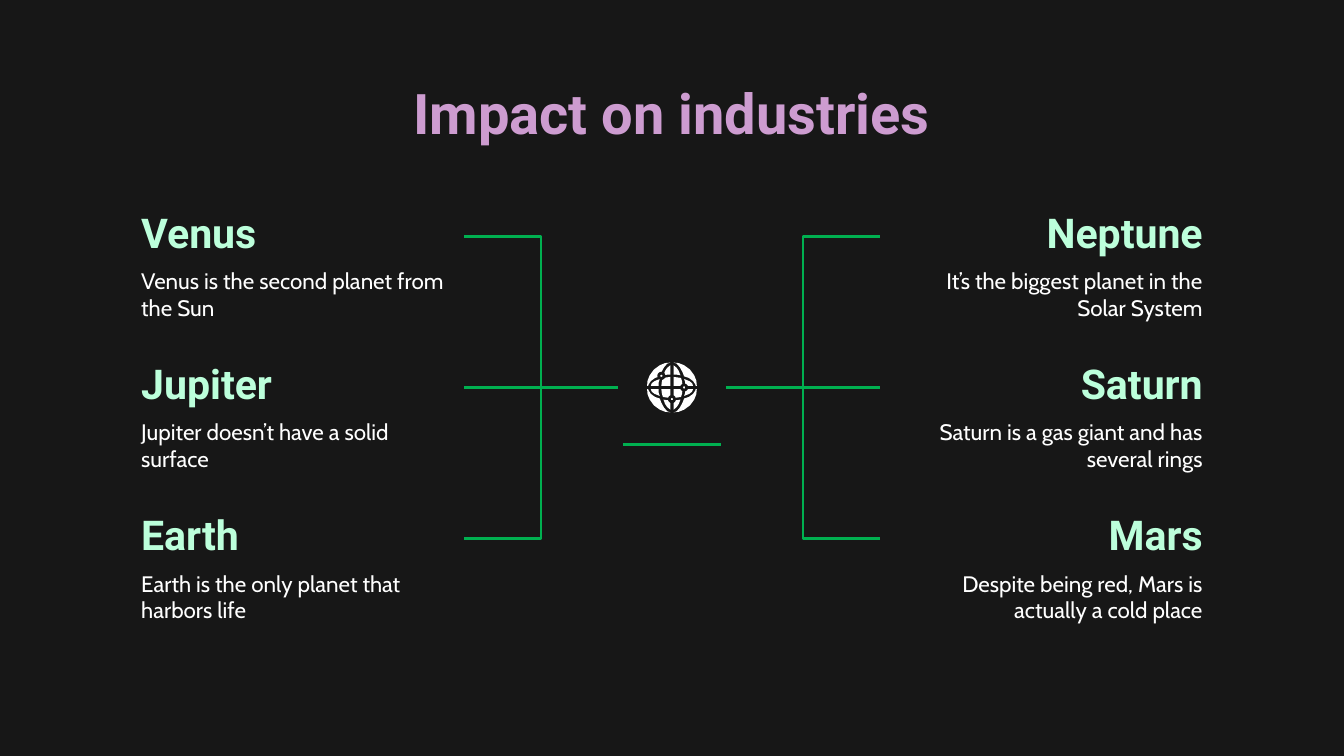
"""Build the slide on the impact on industries."""
from dataclasses import dataclass
from itertools import product
from typing import Any

from lxml.etree import SubElement
from pptx import Presentation
from pptx.dml.color import RGBColor
from pptx.enum.shapes import MSO_CONNECTOR as Link, MSO_SHAPE as Form
from pptx.enum.text import MSO_ANCHOR as Anchor, PP_ALIGN as Align
from pptx.oxml.ns import qn
from pptx.util import Cm, Pt

DARK = RGBColor(0x17, 0x17, 0x17)
WHITE = RGBColor(0xFF, 0xFF, 0xFF)
GREEN = RGBColor(0x00, 0xB0, 0x50)
MINT = RGBColor(0xBC, 0xFF, 0xDB)
PINK = RGBColor(0xCD, 0x9C, 0xD0)
SKY = RGBColor(0x9C, 0xCA, 0xED)

TITLE = {"name": "Roboto", "size": Pt(30), "bold": True}
HEAD = {"name": "Roboto", "size": Pt(22), "bold": True}
BODY = {"name": "Cabin", "size": Pt(12), "bold": False}

TOP, STEP, WIDE, TALL = 3.83, 2.86, 6.35, 1.27
MID_X, MID_Y = 12.7, TOP + STEP + TALL / 2


@dataclass(frozen=True)
class Side:
    """A column of planets and the hub point that links to it."""
    left: float
    hub: float
    site: int
    align: Any
    items: tuple[tuple[str, str], ...]


@dataclass(frozen=True)
class Tile:
    """A patch of one globe quarter, as offsets from the centre."""
    points: tuple[tuple[float, float], ...]


@dataclass(frozen=True)
class Node:
    """A dot on the globe, as an offset from the centre."""
    dx: float
    dy: float


SIDES = (
    Side(2.42, 11.68, 3, Align.LEFT, (
        ("Venus", "Venus is the second planet from the Sun"),
        ("Jupiter", "Jupiter doesn’t have a solid surface"),
        ("Earth", "Earth is the only planet that harbors life"))),
    Side(16.63, 13.72, 1, Align.RIGHT, (
        ("Neptune", "It’s the biggest planet in the Solar System"),
        ("Saturn", "Saturn is a gas giant and has several rings"),
        ("Mars", "Despite being red, Mars is actually a cold place"))),
)
TILES = (
    Tile(((0.03, 0.03), (0.2, 0.03), (0.19, 0.12), (0.17, 0.18),
          (0.1, 0.19), (0.03, 0.2))),
    Tile(((0.25, 0.03), (0.4, 0.03), (0.38, 0.08), (0.33, 0.12),
          (0.23, 0.16), (0.25, 0.1))),
    Tile(((0.03, 0.24), (0.1, 0.24), (0.16, 0.23), (0.13, 0.31),
          (0.09, 0.37), (0.03, 0.42))),
    Tile(((0.03, 0.47), (0.09, 0.45), (0.15, 0.38), (0.2, 0.29),
          (0.23, 0.21), (0.32, 0.18), (0.4, 0.12), (0.44, 0.06),
          (0.45, 0.03), (0.47, 0.03), (0.46, 0.13), (0.42, 0.23),
          (0.34, 0.34), (0.23, 0.42), (0.13, 0.46))),
)
NODES = (Node(-0.2, -0.22), Node(0.23, 0), Node(0, 0.22))


def add_text(slide: Any, text: str, box: tuple[float, ...], style: dict,
             align: Any, tones: tuple[RGBColor, ...],
             anchor: Any = Anchor.TOP) -> Any:
    """Add a text box in one colour or a two-colour gradient."""
    shape = slide.shapes.add_textbox(*map(Cm, box))
    frame = shape.text_frame
    frame.word_wrap = True
    frame.vertical_anchor = anchor
    for edge in ("left", "right", "top", "bottom"):
        setattr(frame, f"margin_{edge}", Cm(0.25))
    par = frame.paragraphs[0]
    par.alignment = align
    run = par.add_run()
    run.text = text
    for key, value in style.items():
        setattr(run.font, key, value)
    fill = run.font.fill
    if len(tones) == 1:
        fill.solid()
        fill.fore_color.rgb = tones[0]
    else:
        fill.gradient()
        fill.gradient_angle = 0
        for stop, tone in zip(fill.gradient_stops, tones):
            stop.color.rgb = tone
    return shape


def add_link(slide: Any, kind: Any, ends: tuple[float, ...]) -> Any:
    """Add a green connector without a shadow."""
    link = slide.shapes.add_connector(kind, *map(Cm, ends))
    link.line.color.rgb = GREEN
    link.line.width = Pt(1.5)
    SubElement(link._element.spPr, qn("a:effectLst"))
    return link


def paint(shape: Any) -> None:
    """Fill a globe part white, with no line and no shadow."""
    shape.shadow.inherit = False
    shape.fill.solid()
    shape.fill.fore_color.rgb = WHITE
    shape.line.fill.background()


def add_tile(slide: Any, tile: Tile, flip_x: int, flip_y: int) -> None:
    """Add a globe patch, mirrored into one quarter."""
    spots = [(Cm(MID_X + flip_x * dx), Cm(MID_Y + flip_y * dy))
             for dx, dy in tile.points]
    pen = slide.shapes.build_freeform(*spots[0])
    pen.add_line_segments(spots[1:], close=True)
    paint(pen.convert_to_shape())


def add_node(slide: Any, node: Node) -> None:
    """Add a white dot with a dark rim."""
    rad = 0.05
    box = (MID_X + node.dx - rad, MID_Y + node.dy - rad, 2 * rad, 2 * rad)
    dot = slide.shapes.add_shape(Form.OVAL, *map(Cm, box))
    paint(dot)
    dot.line.color.rgb = DARK
    dot.line.width = Pt(1.5)


def add_side(slide: Any, side: Side) -> None:
    """Add a column of planets, each joined to the hub."""
    for row, (name, fact) in enumerate(side.items):
        top = TOP + row * STEP
        head = add_text(slide, name, (side.left, top, WIDE, TALL), HEAD,
                        side.align, (MINT, SKY), Anchor.BOTTOM)
        add_text(slide, fact, (side.left, top + 0.97, WIDE, 1.5), BODY,
                 side.align, (WHITE,))
        edge = side.left + (WIDE if side.site == 3 else 0)
        link = add_link(slide, Link.ELBOW,
                        (side.hub, MID_Y, edge, top + TALL / 2))
        link.end_connect(head, side.site)


def add_globe(slide: Any) -> None:
    """Add the globe and the line below it."""
    for tile, flip_x, flip_y in product(TILES, (-1, 1), (-1, 1)):
        add_tile(slide, tile, flip_x, flip_y)
    for node in NODES:
        add_node(slide, node)
    add_link(slide, Link.STRAIGHT, (11.78, 8.4, 13.62, 8.4))


def main() -> None:
    """Build and save the deck."""
    deck = Presentation()
    deck.slide_width, deck.slide_height = Cm(25.4), Cm(14.29)
    slide = deck.slides.add_slide(deck.slide_layouts[6])
    back = slide.background.fill
    back.solid()
    back.fore_color.rgb = DARK
    add_text(slide, "Impact on industries", (2, 1.24, 21.4, 1.6), TITLE,
             Align.CENTER, (PINK, SKY))
    for side in SIDES:
        add_side(slide, side)
    add_globe(slide)
    deck.save("out.pptx")


if __name__ == "__main__":
    main()
